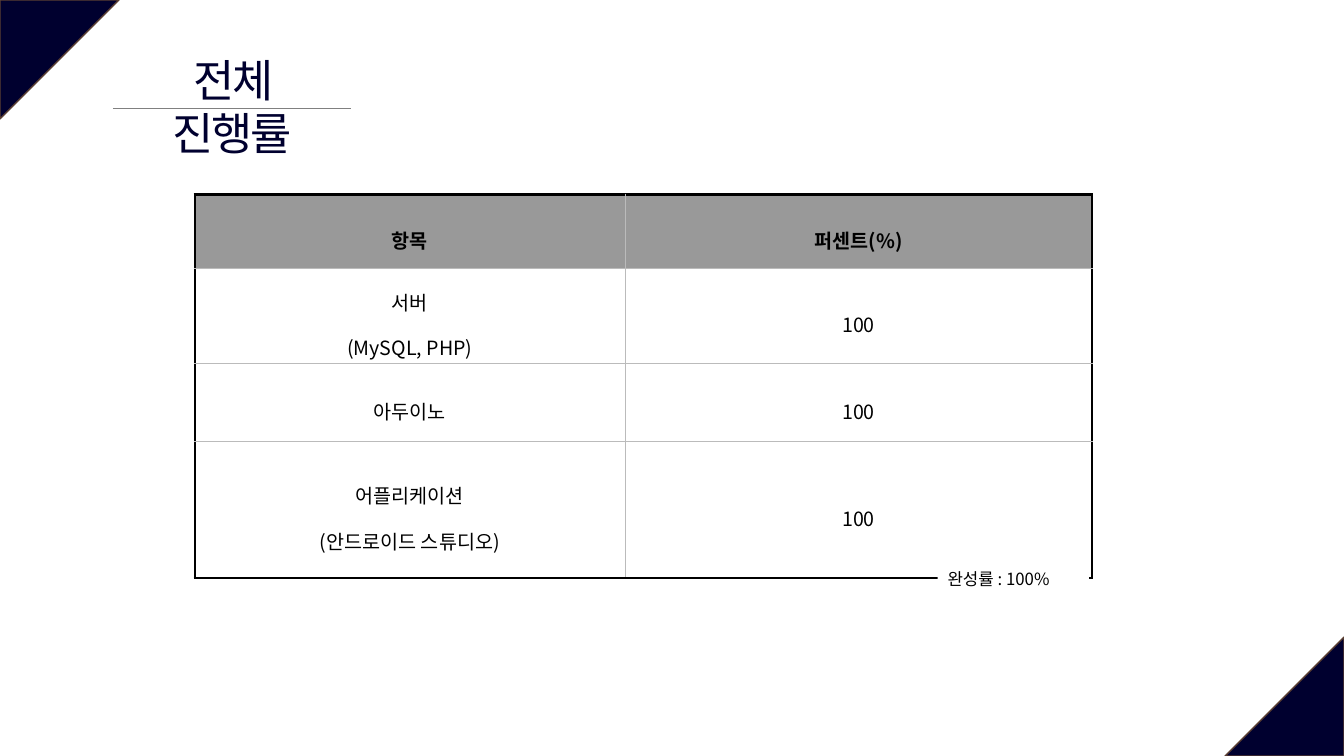
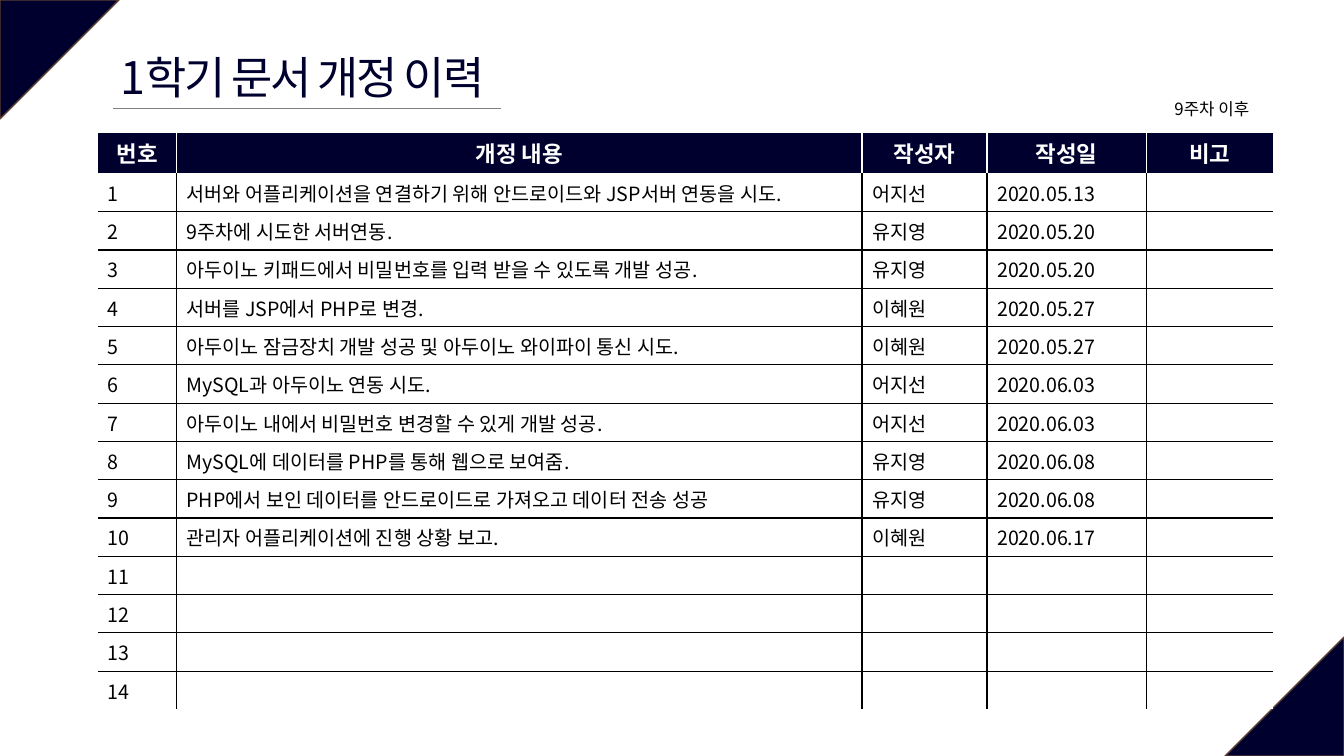
from lxml.etree import SubElement
from pptx import Presentation
from pptx.dml.color import RGBColor
from pptx.enum.shapes import MSO_CONNECTOR, MSO_SHAPE
from pptx.enum.text import MSO_ANCHOR, MSO_AUTO_SIZE, PP_ALIGN
from pptx.oxml.ns import qn
from pptx.util import Inches, Pt

FONT = "Noto Sans CJK KR"
NAVY = RGBColor(0x00, 0x00, 0x2F)
BROWN = RGBColor(0x5B, 0x3F, 0x33)
WHITE = RGBColor(0xFF, 0xFF, 0xFF)
BLACK = RGBColor(0x00, 0x00, 0x00)
RULE_GRAY = RGBColor(0x80, 0x80, 0x80)
HEADER_GRAY = RGBColor(0x99, 0x99, 0x99)
GRID_GRAY = RGBColor(0xBB, 0xBB, 0xBB)

SLIDE_W, SLIDE_H, CORNER = 13.33, 7.5, 1.18

FRAME_LINE = (BLACK, 1.7)
THIN_LINE = (GRID_GRAY, 0.28)
HISTORY_LINE = (BLACK, 1)
HEADER_LINE = (WHITE, 1)

PROGRESS_ROWS = [
    ("항목", "퍼센트(%)"),
    ("서버\n(MySQL, PHP)", "100"),
    ("아두이노", "100"),
    ("어플리케이션\n(안드로이드 스튜디오)", "100"),
]

HISTORY_HEADER = ("번호", "개정 내용", "작성자", "작성일", "비고")
HISTORY_ENTRIES = [
    ("서버와 어플리케이션을 연결하기 위해 안드로이드와 JSP서버 연동을 시도.", "어지선", "2020.05.13"),
    ("9주차에 시도한 서버연동.", "유지영", "2020.05.20"),
    ("아두이노 키패드에서 비밀번호를 입력 받을 수 있도록 개발 성공.", "유지영", "2020.05.20"),
    ("서버를 JSP에서 PHP로 변경.", "이혜원", "2020.05.27"),
    ("아두이노 잠금장치 개발 성공 및 아두이노 와이파이 통신 시도.", "이혜원", "2020.05.27"),
    ("MySQL과 아두이노 연동 시도.", "어지선", "2020.06.03"),
    ("아두이노 내에서 비밀번호 변경할 수 있게 개발 성공.", "어지선", "2020.06.03"),
    ("MySQL에 데이터를 PHP를 통해 웹으로 보여줌.", "유지영", "2020.06.08"),
    ("PHP에서 보인 데이터를 안드로이드로 가져오고 데이터 전송 성공", "유지영", "2020.06.08"),
    ("관리자 어플리케이션에 진행 상황 보고.", "이혜원", "2020.06.17"),
]
HISTORY_COUNT = 14


def format_text(tf, size, color, bold=False, align=PP_ALIGN.LEFT, line_spacing=None, tracking=None):
    for p in tf.paragraphs:
        p.alignment = align
        if line_spacing:
            p.line_spacing = line_spacing
        if not p.runs:
            SubElement(p._p, qn("a:endParaRPr"), sz=str(size * 100))
        for r in p.runs:
            r.font.size = Pt(size)
            r.font.bold = bold
            r.font.color.rgb = color
            r.font.name = FONT
            rPr = r._r.get_or_add_rPr()
            SubElement(rPr, qn("a:ea"), typeface=FONT)
            if tracking:
                rPr.set("spc", str(int(tracking * 100)))


def add_text(slide, text, left, top, width, height, size, color, **text_format):
    box = slide.shapes.add_textbox(Inches(left), Inches(top), Inches(width), Inches(height))
    tf = box.text_frame
    tf.word_wrap = True
    tf.auto_size = MSO_AUTO_SIZE.SHAPE_TO_FIT_TEXT
    tf.text = text
    format_text(tf, size, color, **text_format)


def add_filled_shape(slide, kind, left, top, width, height, color):
    sp = slide.shapes.add_shape(kind, Inches(left), Inches(top), Inches(width), Inches(height))
    sp.shadow.inherit = False
    sp.fill.solid()
    sp.fill.fore_color.rgb = color
    sp.line.fill.background()
    return sp


def add_corners_to_layout(slide):
    layout = slide.slide_layout
    for placeholder in list(layout.placeholders):
        layout.shapes.element.remove(placeholder.element)
    corners = [(0, 0, 90), (SLIDE_W - CORNER, SLIDE_H - CORNER, 270)]
    triangles = []
    for left, top, rotation in corners:
        sp = add_filled_shape(slide, MSO_SHAPE.ISOSCELES_TRIANGLE, left, top, CORNER, CORNER, NAVY)
        sp.adjustments[0] = 0
        sp.rotation = rotation
        sp.line.color.rgb = BROWN
        sp.line.width = Pt(1)
        triangles.append(sp)
    for sp in triangles:
        layout.shapes.element.append(sp.element)


def add_title(slide, text, left, top, width, rule_right):
    rule = slide.shapes.add_connector(
        MSO_CONNECTOR.STRAIGHT, Inches(1.12), Inches(1.08), Inches(rule_right), Inches(1.08))
    rule.line.color.rgb = RULE_GRAY
    rule.line.width = Pt(0.5)
    SubElement(rule.element.spPr, qn("a:effectLst"))
    add_text(slide, text, left, top, width, 0.64, 32, NAVY, align=PP_ALIGN.CENTER, tracking=-1.5)


def set_borders(cell, left, right, top, bottom):
    tcPr = cell._tc.get_or_add_tcPr()
    for side, border in zip("LRTB", (left, right, top, bottom)):
        ln = SubElement(tcPr, qn(f"a:ln{side}"))
        if border is None:
            SubElement(ln, qn("a:noFill"))
        else:
            color, width = border
            ln.set("w", str(Pt(width)))
            SubElement(SubElement(ln, qn("a:solidFill")), qn("a:srgbClr"), val=str(color))


def fill_cell(cell, text, fill, borders, **text_format):
    set_borders(cell, *borders)
    cell.fill.solid()
    cell.fill.fore_color.rgb = fill
    cell.vertical_anchor = MSO_ANCHOR.MIDDLE
    cell.text_frame.text = text
    format_text(cell.text_frame, **text_format)


def add_table(slide, left, top, widths, heights):
    frame = slide.shapes.add_table(
        len(heights), len(widths), Inches(left), Inches(top), Inches(sum(widths)), Inches(sum(heights)))
    table = frame.table
    table.first_row = False
    table.horz_banding = False
    for column, width in zip(table.columns, widths):
        column.width = Inches(width)
    for row, height in zip(table.rows, heights):
        row.height = Inches(height)
    return table


def add_progress_table(slide):
    table = add_table(slide, 1.93, 1.93, [4.27, 4.63], [0.73, 0.77, 0.77, 1.36])
    last = len(PROGRESS_ROWS) - 1
    for i, row in enumerate(PROGRESS_ROWS):
        for j, text in enumerate(row):
            cell = table.cell(i, j)
            cell.margin_left = cell.margin_right = Inches(0.07)
            cell.margin_top = cell.margin_bottom = Inches(0.02)
            edges = (j == 0, j == 1, i == 0, i == last)
            borders = [FRAME_LINE if edge else THIN_LINE for edge in edges]
            fill_cell(cell, text, HEADER_GRAY if i == 0 else WHITE, borders, size=14, color=BLACK,
                      bold=i == 0, align=PP_ALIGN.CENTER, line_spacing=1.6)


def add_history_table(slide):
    widths = [0.78, 6.8, 1.24, 1.58, 1.26]
    table = add_table(slide, 0.97, 1.31, widths, [0.41] + [0.38] * HISTORY_COUNT)
    last_col = len(widths) - 1
    for j, text in enumerate(HISTORY_HEADER):
        fill_cell(table.cell(0, j), text, NAVY, (HEADER_LINE, HEADER_LINE, HEADER_LINE, None),
                  size=16, color=WHITE, bold=True, align=PP_ALIGN.CENTER)
    blanks = [("", "", "")] * (HISTORY_COUNT - len(HISTORY_ENTRIES))
    for i, entry in enumerate(HISTORY_ENTRIES + blanks, start=1):
        for j, text in enumerate((str(i), *entry, "")):
            inner = (j > 0, j < last_col, i > 1, i < HISTORY_COUNT)
            borders = [HISTORY_LINE if shown else None for shown in inner]
            fill_cell(table.cell(i, j), text, WHITE, borders, size=14, color=BLACK)


def build_progress(slide):
    add_progress_table(slide)
    add_title(slide, "전체 진행률", 1.19, 0.47, 2.23, 3.48)
    label = add_filled_shape(slide, MSO_SHAPE.RECTANGLE, 9.3, 5.63, 1.5, 0.23, WHITE)
    tf = label.text_frame
    tf.vertical_anchor = MSO_ANCHOR.MIDDLE
    tf.text = "완성률 : 100%"
    format_text(tf, 12, BLACK, align=PP_ALIGN.JUSTIFY)


def build_history(slide):
    add_text(slide, "9주차 이후", 11.55, 0.93, 1.03, 0.3, 12, BLACK)
    add_title(slide, "1학기 문서 개정 이력", 0.88, 0.44, 4.24, 4.97)
    add_history_table(slide)


def main():
    prs = Presentation()
    prs.slide_width = Inches(SLIDE_W)
    prs.slide_height = Inches(SLIDE_H)
    blank = prs.slide_layouts[6]
    progress = prs.slides.add_slide(blank)
    add_corners_to_layout(progress)
    build_progress(progress)
    build_history(prs.slides.add_slide(blank))
    prs.save("out.pptx")


if __name__ == "__main__":
    main()
